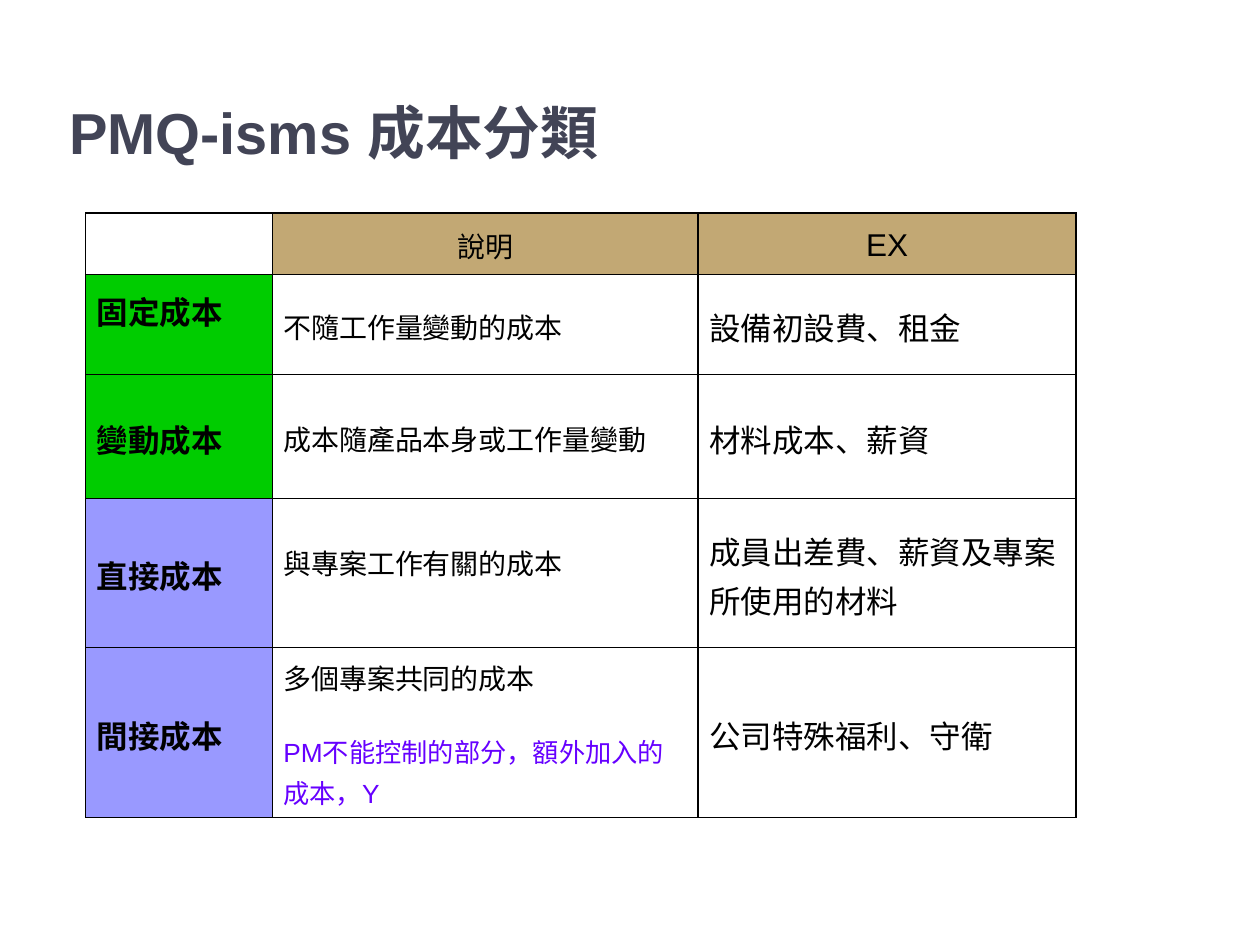
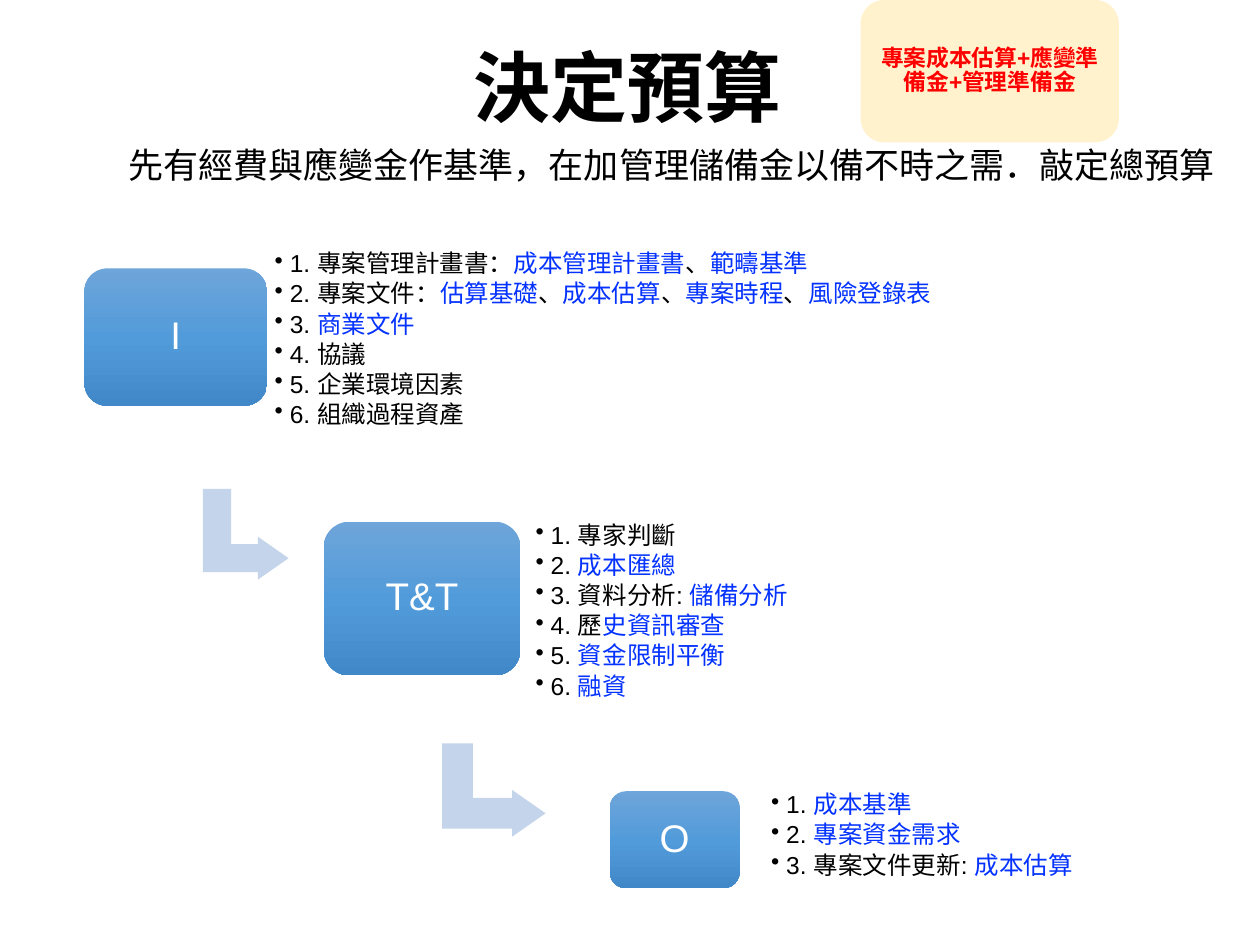
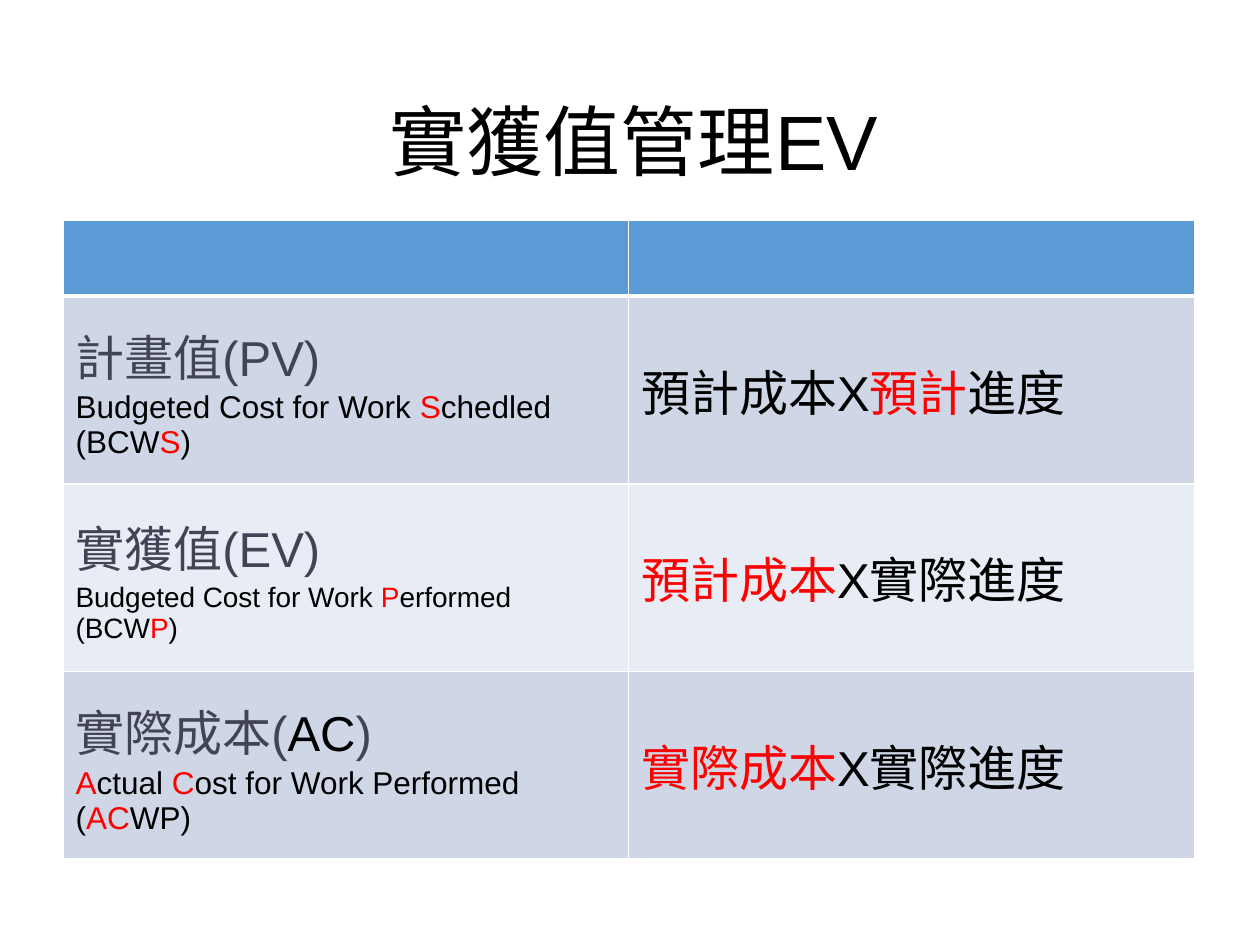
from copy import deepcopy
from dataclasses import dataclass
from typing import NamedTuple

from lxml import etree
from pptx import Presentation
from pptx.dml.color import RGBColor
from pptx.enum.shapes import MSO_SHAPE
from pptx.enum.text import MSO_ANCHOR, PP_ALIGN
from pptx.oxml.ns import qn
from pptx.util import Inches, Pt

ROUND = MSO_SHAPE.ROUNDED_RECTANGLE
BENT = MSO_SHAPE.BENT_UP_ARROW
TOP, MIDDLE = MSO_ANCHOR.TOP, MSO_ANCHOR.MIDDLE
LEFT, CENTER = PP_ALIGN.LEFT, PP_ALIGN.CENTER


# Theme: colours and type sizes
@dataclass(frozen=True)
class Theme:
    font: str = "Arial"
    ink: str = "000000"
    slate: str = "424456"
    white: str = "FFFFFF"
    red: str = "FF0000"
    blue: str = "0432FF"
    violet: str = "6600FF"
    tan: str = "C2A874"
    green: str = "00CC00"
    lilac: str = "9999FF"
    cream: str = "FFF2CC"
    arrow: str = "C3D4EB"
    head: str = "5B9BD5"
    dark: str = "CFD7E7"
    pale: str = "E8ECF4"
    glow: tuple[str, ...] = ("6EA5DA", "529BDA", "4188C8")
    title: int = 44
    sub: int = 33
    big: int = 28
    step: int = 22
    lead: int = 20
    body: int = 18
    text: int = 16
    note: int = 15
    item: int = 14
    tag: int = 13


T = Theme()


# Grid: 100 columns by 75 rows
def unit(count: float) -> int:
    return Inches(count / 10)


class Box(NamedTuple):
    col: float
    row: float
    wide: float
    high: float

    def place(self) -> tuple[int, ...]:
        return tuple(unit(n) for n in self)


class Line(NamedTuple):
    text: str
    size: int
    color: str = T.ink
    hot: str = T.red
    bold: bool = False
    align: PP_ALIGN = LEFT
    lead: float = 1.0
    gap: float = 0


@dataclass(frozen=True)
class Cell:
    lines: tuple[Line, ...] = ()
    fill: str = ""
    lift: float = 0


@dataclass(frozen=True)
class Step:
    name: str
    box: Box
    notes: Box
    items: tuple[str, ...]
    arrow: Box | None = None


# Text
def write(frame, text: str, *, size: int, color: str = T.ink, hot: str = T.red,
          bold: bool = False, align: PP_ALIGN = LEFT, lead: float = 1.0,
          gap: float = 0, bullet: bool = False) -> None:
    """Add one paragraph; parts between asterisks take the hot colour."""
    first = not frame.text
    para = frame.paragraphs[0] if first else frame.add_paragraph()
    para.alignment = align
    para.line_spacing = lead
    if gap and not first:
        para.space_before = Pt(gap)
    if bullet:
        props = para._p.get_or_add_pPr()
        props.set("marL", str(unit(1.2)))
        props.set("indent", str(-unit(1.2)))
        etree.SubElement(props, qn("a:buChar")).set("char", "•")
    for spot, part in enumerate(text.split("*")):
        if part:
            run = para.add_run()
            run.text = part
            run.font.name = T.font
            run.font.size = Pt(size)
            run.font.bold = bold
            run.font.color.rgb = RGBColor.from_string(hot if spot % 2 else color)


def pad(frame, side: float, edge: float, anchor: MSO_ANCHOR = MIDDLE) -> None:
    frame.word_wrap = True
    frame.vertical_anchor = anchor
    frame.margin_left = frame.margin_right = unit(side)
    frame.margin_top = frame.margin_bottom = unit(edge)


def label(slide, box: Box, line: Line, anchor: MSO_ANCHOR = MIDDLE) -> None:
    frame = slide.shapes.add_textbox(*box.place()).text_frame
    pad(frame, 1, 0.5, anchor)
    write(frame, **line._asdict())


# Shapes
def form(slide, kind: MSO_SHAPE, box: Box, fill: str | tuple[str, ...]):
    shape = slide.shapes.add_shape(kind, *box.place())
    shape.shadow.inherit = False
    shape.line.fill.background()
    if isinstance(fill, str):
        shape.fill.solid()
        shape.fill.fore_color.rgb = RGBColor.from_string(fill)
        return shape
    shape.fill.gradient()
    shape.fill.gradient_angle = 270
    stops = shape._element.spPr.find(".//" + qn("a:gsLst"))
    stops.insert(1, deepcopy(stops[0]))
    for spot, (stop, tint) in enumerate(zip(shape.fill.gradient_stops, fill)):
        stop.position = spot / (len(fill) - 1)
        stop.color.rgb = RGBColor.from_string(tint)
    return shape


def draw(slide, step: Step) -> None:
    if step.arrow:
        turn = form(slide, BENT, step.arrow, T.arrow)
        turn.rotation = 90
        for spot, share in enumerate((0.328, 0.25, 0.358)):
            turn.adjustments[spot] = share
    frame = form(slide, ROUND, step.box, T.glow).text_frame
    pad(frame, 0.9, 0.9)
    write(frame, step.name, size=T.step, color=T.white, align=CENTER, lead=0.9)
    frame = slide.shapes.add_textbox(*step.notes.place()).text_frame
    pad(frame, 0.6, 0.6)
    for item in step.items:
        write(frame, item, size=T.item, hot=T.blue, lead=0.9, gap=2.1, bullet=True)


# Tables
def edge(cell, color: str, width: float, base: float) -> None:
    props = cell._tc.get_or_add_tcPr()
    for side in "LRTB":
        line = etree.SubElement(props, qn(f"a:ln{side}"))
        line.set("w", str(Pt(base if side == "B" else width)))
        fill = etree.SubElement(line, qn("a:solidFill"))
        etree.SubElement(fill, qn("a:srgbClr")).set("val", color)


def grid(slide, col: float, row: float, cols: tuple[float, ...],
         rows: tuple[float, ...], cells: list[list[Cell]], *, color: str,
         width: float, side: float, base: float = 0) -> None:
    """Draw a table; base is the rule under its first row."""
    box = Box(col, row, sum(cols), sum(rows))
    table = slide.shapes.add_table(len(rows), len(cols), *box.place()).table
    table.first_row = table.horz_banding = False
    for track, wide in zip(table.columns, cols):
        track.width = unit(wide)
    for y, high in enumerate(rows):
        table.rows[y].height = unit(high)
        for x, data in enumerate(cells[y]):
            cell = table.cell(y, x)
            edge(cell, color, width, base if base and y == 0 else width)
            if data.fill:
                cell.fill.solid()
                cell.fill.fore_color.rgb = RGBColor.from_string(data.fill)
            else:
                cell.fill.background()
            cell.vertical_anchor = MIDDLE
            cell.margin_left = cell.margin_right = unit(side)
            cell.margin_top = unit(0.5)
            cell.margin_bottom = unit(0.5 + data.lift)
            for line in data.lines:
                write(cell.text_frame, **line._asdict())


# Slide 1: cost types
def costs(slide) -> None:
    def line(text: str, size: int = T.body, **form) -> Line:
        return Line(text, size, lead=1.08, **form)

    label(slide, Box(4.5, 5.3, 81.6, 10.2),
          Line("PMQ-isms 成本分類", T.sub, T.slate, bold=True))
    cells = [[Cell(),
              Cell((line("說明", T.text, align=CENTER),), T.tan),
              Cell((line("EX", align=CENTER),), T.tan)]]
    extra = line("PM不能控制的部分，額外加入的成本，Y", T.note, color=T.violet, gap=18)
    for name, fill, means, case, lifts, more in (
        ("固定成本", T.green, "不隨工作量變動的成本", "設備初設費、租金", (2.4, 0), ()),
        ("變動成本", T.green, "成本隨產品本身或工作量變動", "材料成本、薪資", (0, 0), ()),
        ("直接成本", T.lilac, "與專案工作有關的成本",
         "成員出差費、薪資及專案所使用的材料", (0, 2), ()),
        ("間接成本", T.lilac, "多個專案共同的成本", "公司特殊福利、守衛", (0, 0), (extra,)),
    ):
        cells.append([Cell((line(name, bold=True),), fill, lifts[0]),
                      Cell((line(means, T.text), *more), lift=lifts[1]),
                      Cell((line(case),))])
    grid(slide, 6.8, 16.9, (14.8, 33.8, 30), (4.9, 7.9, 9.9, 11.8, 13.5), cells,
         color=T.ink, width=0.75, side=0.9)


# Slide 2: budget steps
STEPS = (
    Step("I", Box(6.7, 21.3, 14.5, 10.9), Box(21.2, 20.8, 61.1, 12.4), (
        "1. 專案管理計畫書：*成本管理計畫書*、*範疇基準*",
        "2. 專案文件：*估算基礎*、*成本估算*、*專案時程*、*風險登錄表*",
        "3. *商業文件*",
        "4. 協議",
        "5. 企業環境因素",
        "6. 組織過程資產",
    ), Box(15.9, 39, 7.2, 6.8)),
    Step("T&T", Box(25.7, 41.4, 15.6, 12.2), Box(41.9, 43.3, 29.8, 10.5), (
        "1. 專家判斷",
        "2. *成本匯總*",
        "3. 資料分析: *儲備分析*",
        "4. 歷*史資訊審查*",
        "5. *資金限制平衡*",
        "6. *融資*",
    ), Box(35.5, 58.6, 7.4, 8.2)),
    Step("O", Box(48.4, 62.8, 10.3, 7.7), Box(60.6, 61.1, 25.8, 10.5), (
        "1. *成本基準*",
        "2. *專案資金需求*",
        "3. 專案文件更新: *成本估算*",
    )),
)


def budget(slide) -> None:
    label(slide, Box(6.7, 0, 86.2, 14.5),
          Line("決定預算", T.title, bold=True, align=CENTER, lead=0.9))
    label(slide, Box(9.2, 11.3, 90, 7),
          Line("先有經費與應變金作基準，在加管理儲備金以備不時之需．敲定總預算",
               T.lead, lead=0.9), TOP)
    for step in STEPS:
        draw(slide, step)
    frame = form(slide, ROUND, Box(68.3, 0, 20.5, 11.3), T.cream).text_frame
    pad(frame, 0.5, 0.5)
    write(frame, "專案成本估算+應變準備金+管理準備金", size=T.tag, color=T.red,
          bold=True, align=CENTER, lead=0.9)


# Slide 3: earned value
def value(slide) -> None:
    label(slide, Box(7.2, 4.3, 86.2, 14.5),
          Line("實獲值管理EV", T.title, align=CENTER, lead=0.9))
    cells = [[Cell(fill=T.head)] * 2]
    for name, means, size, rule, fill in (
        ("計畫值(PV)", "Budgeted Cost for Work *S*chedled (BCW*S*)", T.body,
         "預計成本X*預計*進度", T.dark),
        ("實獲值(EV)", "Budgeted Cost for Work *P*erformed (BCW*P*)", T.text,
         "*預計成本*X實際進度", T.pale),
        ("實際成本(*AC*)", "*A*ctual *C*ost for Work Performed (*AC*WP)", T.body,
         "*實際成本*X實際進度", T.dark),
    ):
        cells.append([Cell((Line(name, T.big, T.slate, T.ink), Line(means, size)), fill),
                      Cell((Line(rule, T.big),), fill)])
    grid(slide, 5, 17.5, (44.9,) * 2, (6, *(14.9,) * 3), cells,
         color=T.white, width=1, side=1, base=3)


def main() -> None:
    deck = Presentation()
    deck.slide_width, deck.slide_height = unit(100), unit(75)
    for page in (costs, budget, value):
        page(deck.slides.add_slide(deck.slide_layouts[6]))
    deck.save("out.pptx")


if __name__ == "__main__":
    main()
